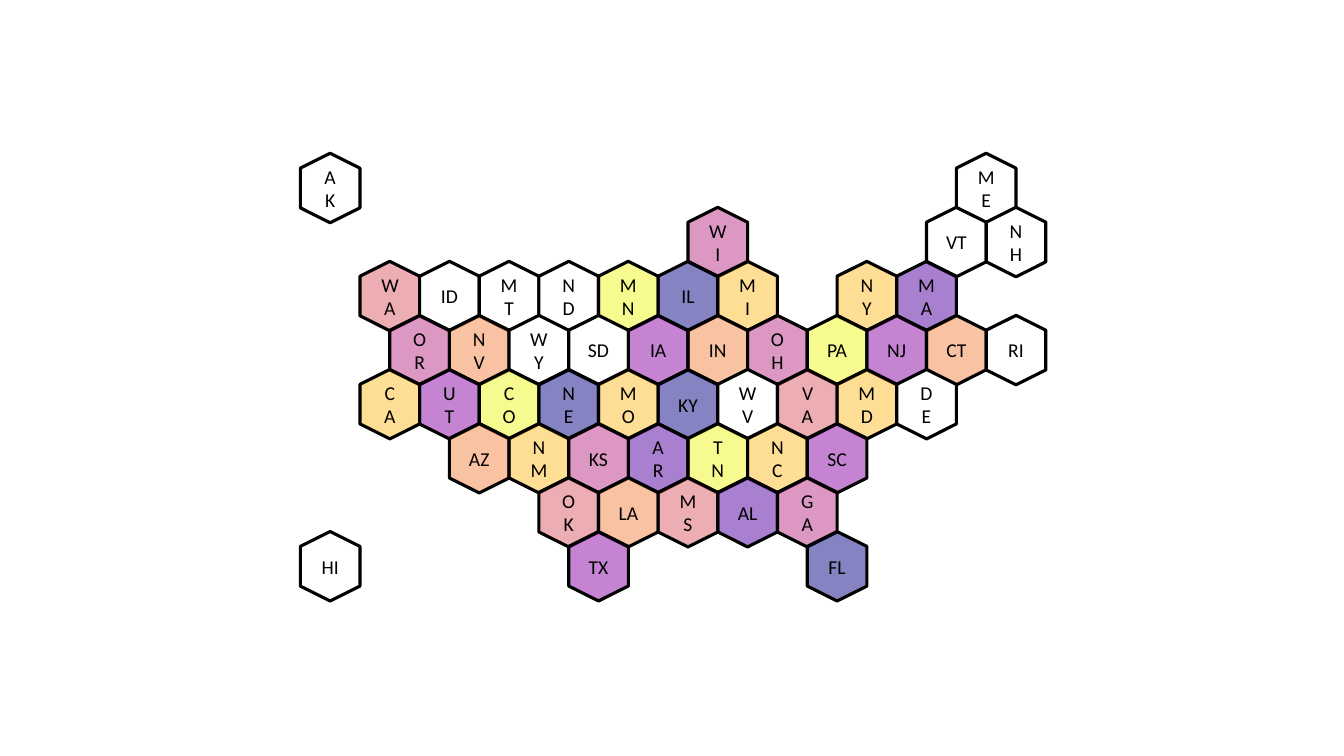
from dataclasses import dataclass

from lxml.etree import SubElement
from pptx import Presentation
from pptx.dml.color import RGBColor as Rgb
from pptx.enum.shapes import MSO_SHAPE as Kind
from pptx.enum.text import MSO_ANCHOR as Anchor, PP_ALIGN as Align
from pptx.oxml.ns import qn
from pptx.util import Pt

LEFT, TOP = 211, 113        # first hexagon
HALF, STEP = 21.3, 38.6     # half a column, one row
LONG, WIDE = 49.6, 42.6     # hexagon before its quarter turn
BLACK, WHITE = "000000", "FFFFFF"

TINTS = {
    "0D0887": "IL NE KY FL",
    "5402A3": "MA AR AL",
    "8B0AA5": "IA NJ UT SC TX",
    "BB3289": "WI OR OH KS GA",
    "DB5C68": "WA VA OK MS",
    "F48849": "NV IN CT AZ LA",
    "FEBC2C": "MI NY CA MO MD NM NC",
    "F0F921": "MN PA CO TN",
}
FILLS = {state: tint for tint, names in TINTS.items() for state in names.split()}


@dataclass
class Strip:
    """Neighbouring states in one row, starting at a half column."""
    row: int
    start: int
    states: str


STRIPS = [
    Strip(0, 0, "AK"),
    Strip(0, 22, "ME"),
    Strip(1, 13, "WI"),
    Strip(1, 21, "VT NH"),
    Strip(2, 2, "WA ID MT ND MN IL MI"),
    Strip(2, 18, "NY MA"),
    Strip(3, 3, "OR NV WY SD IA IN OH PA NJ CT RI"),
    Strip(4, 2, "CA UT CO NE MO KY WV VA MD DE"),
    Strip(5, 5, "AZ NM KS AR TN NC SC"),
    Strip(6, 8, "OK LA MS AL GA"),
    Strip(7, 0, "HI"),
    Strip(7, 9, "TX"),
    Strip(7, 17, "FL"),
]


def paint(color, tint: str) -> None:
    """Set a colour from a hex string."""
    color.rgb = Rgb.from_string(tint)


def fade(shape, share: int) -> None:
    """Give a solid fill an opacity in percent."""
    tone = shape.element.spPr.find(qn("a:solidFill"))[0]
    SubElement(tone, qn("a:alpha")).set("val", str(share * 1000))


def write(shape, text: str, *, size: float = 14, font: str = "Calibri",
          tint: str = BLACK, turn: str = "vert270") -> None:
    """Put centred text in a shape."""
    frame = shape.text_frame
    frame.word_wrap = True
    frame.vertical_anchor = Anchor.MIDDLE
    shape.element.txBody.bodyPr.set("vert", turn)
    para = frame.paragraphs[0]
    para.alignment = Align.CENTER
    run = para.add_run()
    run.text = text
    run.font.size, run.font.name = Pt(size), font
    paint(run.font.color, tint)


def draw_state(slide, state: str, row: int, half: int) -> None:
    """Draw one state as an upright hexagon."""
    hexa = slide.shapes.add_shape(
        Kind.HEXAGON, Pt(LEFT + half * HALF), Pt(TOP + row * STEP),
        Pt(LONG), Pt(WIDE))
    hexa.rotation = 90
    hexa.shadow.inherit = False
    hexa.fill.solid()
    paint(hexa.fill.fore_color, FILLS.get(state, WHITE))
    if state in FILLS:
        fade(hexa, 50)
    paint(hexa.line.color, BLACK)
    hexa.line.width = Pt(2.25)
    write(hexa, state)


def draw_strip(slide, strip: Strip) -> None:
    """Draw the states of a strip side by side."""
    for i, state in enumerate(strip.states.split()):
        draw_state(slide, state, strip.row, strip.start + 2 * i)


deck = Presentation()
deck.slide_width, deck.slide_height = Pt(960), Pt(540)
page = deck.slides.add_slide(deck.slide_layouts[6])
for strip in STRIPS:
    draw_strip(page, strip)
deck.save("out.pptx")
